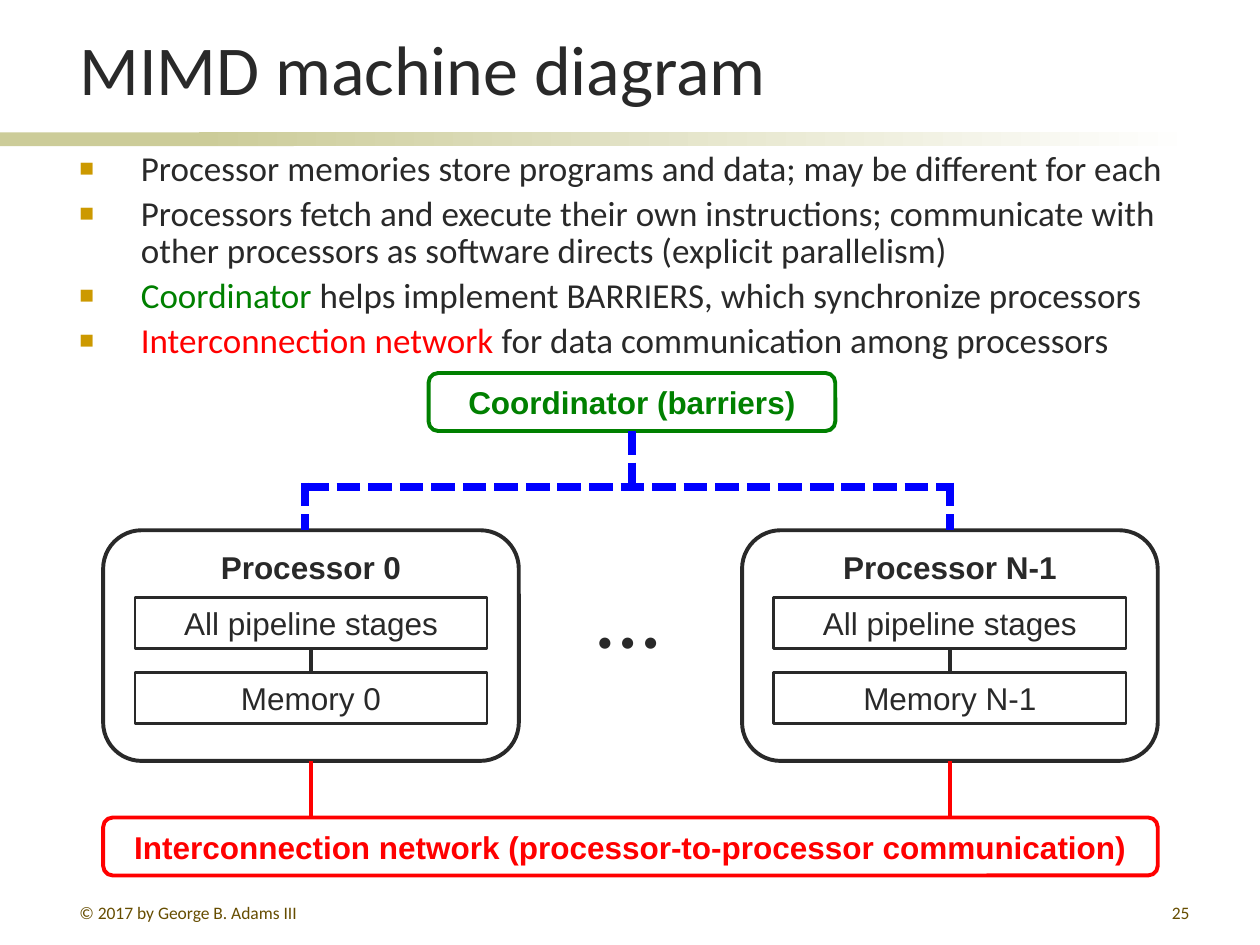
from lxml import etree
from pptx import Presentation
from pptx.dml.color import RGBColor
from pptx.enum.dml import MSO_LINE
from pptx.enum.shapes import MSO_CONNECTOR, MSO_SHAPE
from pptx.enum.text import MSO_ANCHOR, PP_ALIGN
from pptx.oxml.ns import qn
from pptx.util import Cm, Pt

RECT, ROUND = MSO_SHAPE.RECTANGLE, MSO_SHAPE.ROUNDED_RECTANGLE
STRAIGHT, DASH = MSO_CONNECTOR.STRAIGHT, MSO_LINE.SQUARE_DOT
TOP, MIDDLE, BOTTOM = MSO_ANCHOR.TOP, MSO_ANCHOR.MIDDLE, MSO_ANCHOR.BOTTOM
LEFT, CENTER, RIGHT = PP_ALIGN.LEFT, PP_ALIGN.CENTER, PP_ALIGN.RIGHT

INK = RGBColor(0x29, 0x29, 0x29)
GREEN = RGBColor(0x00, 0x80, 0x00)
RED = RGBColor(0xFF, 0x00, 0x00)
BLUE = RGBColor(0x00, 0x00, 0xFF)
SAND = RGBColor(0xCC, 0xCC, 0x99)
WHITE = RGBColor(0xFF, 0xFF, 0xFF)
BROWN = RGBColor(0x66, 0x4D, 0x00)
GOLD = "CC9900"

# Content; lengths are centimetres
TITLE = "MIMD machine diagram"
POINTS = [
    [("Processor memories store programs and data; may be different for each", INK)],
    [("Processors fetch and execute their own instructions; communicate with "
      "other processors as software directs (explicit parallelism)", INK)],
    [("Coordinator", GREEN),
     (" helps implement BARRIERS, which synchronize processors", INK)],
    [("Interconnection network", RED),
     (" for data communication among processors", INK)],
]
FOOTERS = [
    ("© 2017 by George B. Adams III", (1.35, 18.06, 5.51, 0.53), LEFT),
    ("25", (18.95, 18.06, 5.28, 0.53), RIGHT),
]
HUBS = [
    ("Coordinator (barriers)", (8.64, 7.52, 8.2, 1.17), GREEN),
    ("Interconnection network (processor-to-processor communication)",
     (2.08, 16.48, 21.26, 1.17), RED),
]
NODES = ["0", "N-1"]
STEP = 12.88
NODE_X, NODE_Y, NODE_W, NODE_H = 2.08, 10.69, 8.38, 4.65
PART_W, PART_H = 7.1, 1.03
STAGE_Y, MEM_Y = 12.04, 13.56
BUS_X, BUS_Y, TRUNK_X = 6.15, 9.81, 12.74

deck = Presentation()
deck.slide_width, deck.slide_height = Cm(25.4), Cm(19.05)
slide = deck.slides.add_slide(deck.slide_layouts[6])
shapes = slide.shapes


def add_run(para, text, size, color, font="Calibri", bold=False):
    """Add one styled run to a paragraph."""
    run = para.add_run()
    run.text = text
    run.font.size, run.font.name, run.font.bold = Pt(size), font, bold
    run.font.color.rgb = color


def add_text(box, anchor=TOP, wrap=True):
    """Add a text box and return its frame."""
    frame = shapes.add_textbox(*map(Cm, box)).text_frame
    frame.word_wrap, frame.vertical_anchor = wrap, anchor
    return frame


def add_bar(box):
    """Add a plain sand bar and return it."""
    bar = shapes.add_shape(RECT, *map(Cm, box))
    bar.shadow.inherit = False
    bar.line.fill.background()
    bar.fill.solid()
    bar.fill.fore_color.rgb = SAND
    return bar


def add_box(kind, box, text, color, width, bold, anchor=MIDDLE):
    """Add an outlined box with a centred label."""
    shape = shapes.add_shape(kind, *map(Cm, box))
    shape.shadow.inherit = False
    shape.fill.background()
    shape.line.color.rgb, shape.line.width = color, Pt(width)
    frame = shape.text_frame
    frame.word_wrap, frame.vertical_anchor = True, anchor
    frame.margin_left = frame.margin_right = Cm(0.1)
    para = frame.paragraphs[0]
    para.alignment = CENTER
    add_run(para, text, 18, color, "Arial", bold)


def add_line(x1, y1, x2, y2, color, width=2.25, dash=None):
    """Add a straight line without shadow."""
    line = shapes.add_connector(STRAIGHT, Cm(x1), Cm(y1), Cm(x2), Cm(y2))
    line.line.color.rgb, line.line.width = color, Pt(width)
    line.line.dash_style = dash
    etree.SubElement(line._element.spPr, qn("a:effectLst"))


def add_bullet(para):
    """Give a paragraph a square gold bullet and a hanging indent."""
    props = para._p.get_or_add_pPr()
    props.set("marL", str(Cm(1.24)))
    props.set("indent", str(-Cm(1.24)))
    tint = etree.SubElement(props, qn("a:buClr"))
    etree.SubElement(tint, qn("a:srgbClr"), val=GOLD)
    etree.SubElement(props, qn("a:buSzPct"), val="70000")
    etree.SubElement(props, qn("a:buFont"), typeface="Arial")
    etree.SubElement(props, qn("a:buChar"), char="■")


# Title band and text
add_bar((0, 2.67, 5.92, 0.28))
fade = add_bar((4.01, 2.67, 20.12, 0.28)).fill
fade.gradient()
fade.gradient_angle = 0
for stop, color in zip(fade.gradient_stops, (SAND, WHITE)):
    stop.color.rgb = color

title = add_text((1.35, 0.28, 22.89, 2.06), BOTTOM)
add_run(title.paragraphs[0], TITLE, 40, INK)

body = add_text((1.35, 2.92, 22.91, 4.6))
for i, point in enumerate(POINTS):
    para = body.add_paragraph() if i else body.paragraphs[0]
    para.line_spacing, para.space_before = 0.9, Pt(4)
    add_bullet(para)
    for text, color in point:
        add_run(para, text, 20, color)

for text, box, align in FOOTERS:
    para = add_text(box).paragraphs[0]
    para.alignment = align
    add_run(para, text, 10, BROWN)

# Diagram
for text, box, color in HUBS:
    add_box(ROUND, box, text, color, 2.25, True)

for i, name in enumerate(NODES):
    left = NODE_X + i * STEP
    mid = left + NODE_W / 2
    part_x = mid - PART_W / 2
    drop = BUS_X + i * (STEP + 0.12)
    add_box(ROUND, (left, NODE_Y, NODE_W, NODE_H), f"Processor {name}",
            INK, 2.25, True, TOP)
    for text, y in (("All pipeline stages", STAGE_Y), (f"Memory {name}", MEM_Y)):
        add_box(RECT, (part_x, y, PART_W, PART_H), text, INK, 1.5, False)
    add_line(mid, STAGE_Y + PART_H, mid, MEM_Y, INK)
    add_line(mid, NODE_Y + NODE_H, mid, 16.48, RED)
    add_line(drop, BUS_Y - 0.08, drop, NODE_Y, BLUE, 4.5, DASH)

add_line(BUS_X, BUS_Y, BUS_X + STEP + 0.17, BUS_Y, BLUE, 4.5, DASH)
add_line(TRUNK_X, 8.69, TRUNK_X, BUS_Y, BLUE, 4.5, DASH)

dots = add_text((11.79, 12.4, 1.75, 1.02), wrap=False)
add_run(dots.paragraphs[0], "• • •", 18, INK)

deck.save("out.pptx")
